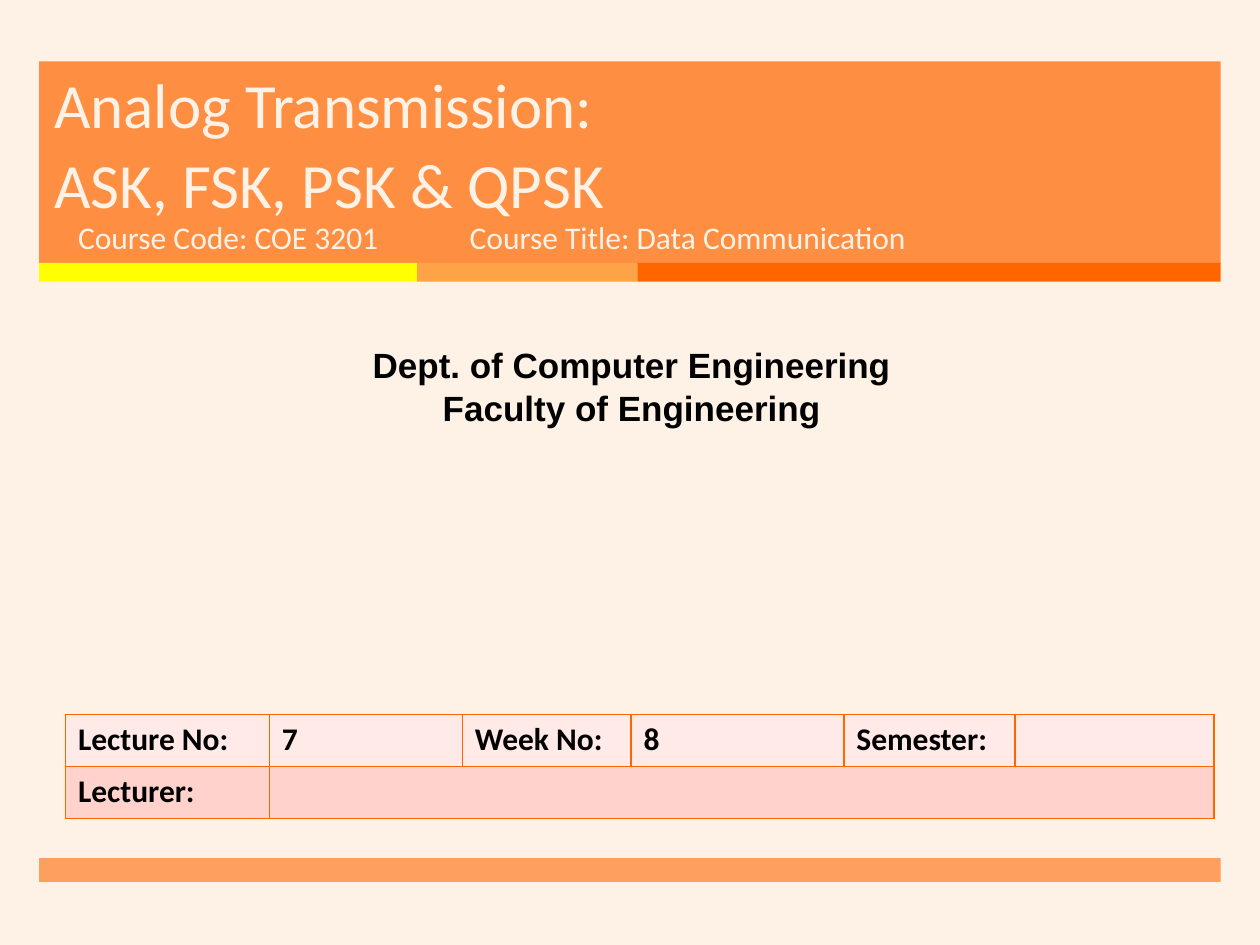
import pptx
import pptx.util
import pptx.dml.color
import pptx.enum.shapes
import pptx.enum.text
import pptx.oxml
import pptx.oxml.ns
from pptx.util import Cm

HUES = {
    "cream": "FEF2E6", "black": "000000", "orange": "FF7D26",
    "yellow": "FFFF00", "amber": "FFA347", "deep": "FF6600",
    "pale": "FFEAE7", "pink": "FFD3CC",
}
ALIGN = pptx.enum.text.PP_ALIGN
ANCHOR = pptx.enum.text.MSO_ANCHOR


def paint(fill, hue, alpha=100):
    """Give a solid fill its colour and its opacity in percent."""
    fill.solid()
    fill.fore_color.rgb = pptx.dml.color.RGBColor.from_string(HUES[hue])
    if alpha < 100:
        tint = fill._xPr.find(".//" + pptx.oxml.ns.qn("a:srgbClr"))
        tint.append(pptx.oxml.parse_xml(
            f'<a:alpha {pptx.oxml.ns.nsdecls("a")} val="{alpha * 1000}"/>'))


def style(frame, size, hue, font="Calibri", bold=False, align=ALIGN.LEFT):
    """Format every paragraph and run of a text frame."""
    for para in frame.paragraphs:
        para.alignment = align
        para.space_before = pptx.util.Pt(0)
        for run in para.runs:
            run.font.name = font
            run.font.size = pptx.util.Pt(size)
            run.font.bold = bold
            paint(run.font.fill, hue)


deck = pptx.Presentation()
deck.slide_width, deck.slide_height = Cm(25.4), Cm(19.05)
slide = deck.slides.add_slide(deck.slide_layouts[0])
paint(slide.background.fill, "cream")
shapes = slide.shapes

# Coloured bands: left, top, width, height, colour, opacity
bands = [
    (0.79, 1.24, 23.82, 4.08, "orange", 85),
    (0.79, 5.3, 7.62, 0.38, "yellow", 100),
    (8.41, 5.3, 4.44, 0.38, "amber", 100),
    (12.85, 5.3, 11.76, 0.38, "deep", 100),
    (0.79, 17.3, 23.82, 0.48, "orange", 70),
]
for *box, hue, alpha in bands:
    band = shapes.add_shape(pptx.enum.shapes.MSO_SHAPE.RECTANGLE, *map(Cm, box))
    paint(band.fill, hue, alpha)
    band.line.fill.background()
    band.shadow.inherit = False

# Title and course code, placed in front of the bands
title, code = shapes.title, slide.placeholders[1]
heads = [
    (title, (0.84, 1.57, 21.69, 3.02), "Analog Transmission: \vASK, FSK, PSK & QPSK", 36, ANCHOR.BOTTOM),
    (code, (1.32, 4.27, 7.75, 1.35), "Course Code: COE 3201", 18, ANCHOR.TOP),
]
for head, box, text, size, anchor in heads:
    head.left, head.top, head.width, head.height = map(Cm, box)
    frame = head.text_frame
    frame.text = text
    frame.auto_size = pptx.enum.text.MSO_AUTO_SIZE.NONE
    frame.vertical_anchor = anchor
    style(frame, size, "cream")
    shapes._spTree.append(head._element)
title.text_frame.paragraphs[0].line_spacing = pptx.util.Pt(46)

# Department and course title
dept = shapes.add_textbox(Cm(0.2), Cm(6.81), Cm(25.07), Cm(1.96)).text_frame
dept.word_wrap = True
dept.text = "Dept. of Computer Engineering\nFaculty of Engineering"
style(dept, 20, "black", "Arial", True, ALIGN.CENTER)

course = shapes.add_textbox(Cm(9.22), Cm(4.27), Cm(11.56), Cm(1.35)).text_frame
course.word_wrap = True
course.text = "Course Title: Data Communication"
style(course, 18, "cream")

# Lecture details
rows = [
    ("pale", ["Lecture No:", "7", "Week No:", "8", "Semester:", ""]),
    ("pink", ["Lecturer:", "", "", "", "", ""]),
]
wide = [4.11, 3.89, 3.4, 4.29, 3.45, 4.01]
table = shapes.add_table(2, 6, Cm(1.32), Cm(14.4), Cm(sum(wide)), Cm(2.1)).table
for col, width in zip(table.columns, wide):
    col.width = Cm(width)
for r, (hue, texts) in enumerate(rows):
    table.rows[r].height = Cm(1.05)
    for c, text in enumerate(texts):
        cell = table.cell(r, c)
        cell.text = text
        style(cell.text_frame, 18, "black", bold=True)
        props = cell._tc.get_or_add_tcPr()
        for side in ("lnL", "lnR", "lnT", "lnB"):
            props.append(pptx.oxml.parse_xml(
                f'<a:{side} {pptx.oxml.ns.nsdecls("a")} w="12700"><a:solidFill>'
                f'<a:srgbClr val="{HUES["deep"]}"/></a:solidFill></a:{side}>'))
        paint(cell.fill, hue)
table.cell(1, 1).merge(table.cell(1, 5))

deck.save("out.pptx")
